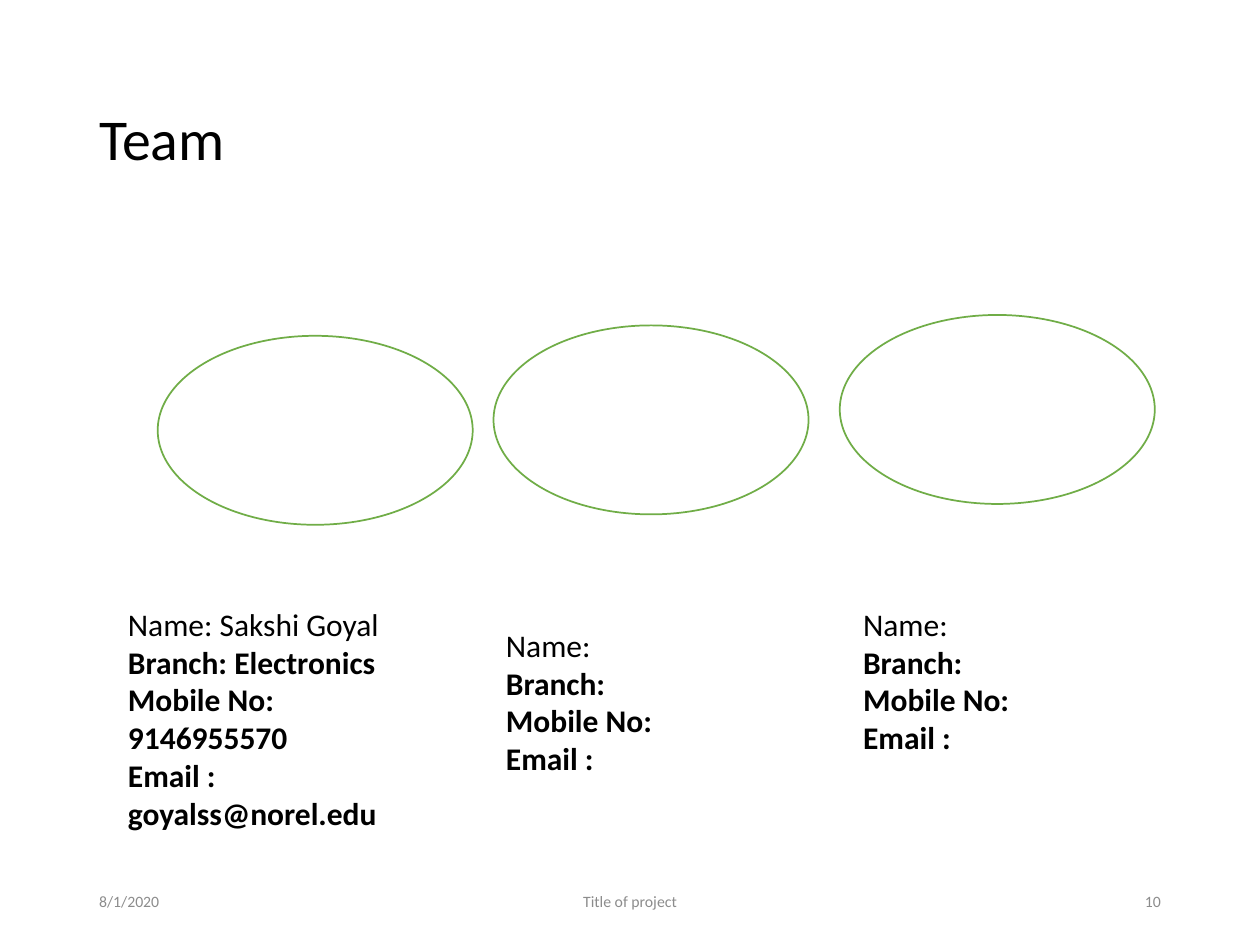
from dataclasses import dataclass

from pptx import Presentation
from pptx.dml.color import RGBColor as RGB
from pptx.enum.shapes import MSO_SHAPE as SHAPE
from pptx.enum.text import MSO_ANCHOR as ANCHOR, PP_ALIGN as ALIGN
from pptx.util import Cm, Pt


@dataclass(frozen=True)
class Theme:
    font: str = "Calibri"
    text: RGB = RGB(0x00, 0x00, 0x00)
    muted: RGB = RGB(0x8C, 0x8C, 0x8C)
    fill: RGB = RGB(0xFF, 0xFF, 0xFF)
    outline: RGB = RGB(0x70, 0xAD, 0x47)
    title_size: int = 33
    body_size: int = 18
    footer_size: int = 9


THEME = Theme()
MARGIN, CONTENT_W = 1.75, 21.9
FOOTER_TOP, FOOTER_H = 17.65, 1.02
OVAL_W, OVAL_H = 6.35, 3.81
CARD_W = 6.56

# Oval (left, top), details (left, top, height), lines of text
MEMBERS = [
    ((3.18, 6.77), (2.33, 12.07, 4.88),
     ["Name: Sakshi Goyal", "Branch: Electronics",
      "Mobile No: 9146955570", "Email : goyalss@norel.edu"]),
    ((9.95, 6.56), (9.95, 12.49, 3.33),
     ["Name:", "Branch:", "Mobile No:", "Email :"]),
    ((16.93, 6.35), (17.15, 12.07, 3.33),
     ["Name:", "Branch:", "Mobile No:", "Email :"]),
]


def add_text(slide, lines, left, top, width, height, *, size, color=THEME.text,
             align=ALIGN.LEFT, anchor=ANCHOR.TOP, spacing=1.0, bold_from=None):
    """Add one paragraph per line; lines from index bold_from on are bold."""
    box = slide.shapes.add_textbox(Cm(left), Cm(top), Cm(width), Cm(height))
    tf = box.text_frame
    tf.word_wrap = True
    tf.vertical_anchor = anchor
    for i, line in enumerate(lines):
        p = tf.add_paragraph() if i else tf.paragraphs[0]
        p.alignment = align
        p.line_spacing = spacing
        r = p.add_run()
        r.text = line
        r.font.name = THEME.font
        r.font.size = Pt(size)
        r.font.color.rgb = color
        r.font.bold = bold_from is not None and i >= bold_from


def add_oval(slide, left, top):
    sp = slide.shapes.add_shape(SHAPE.OVAL, Cm(left), Cm(top),
                                Cm(OVAL_W), Cm(OVAL_H))
    sp.shadow.inherit = False
    sp.fill.solid()
    sp.fill.fore_color.rgb = THEME.fill
    sp.line.color.rgb = THEME.outline
    sp.line.width = Pt(1)


def add_footer(slide):
    side_w, center_w = 5.72, 8.58
    right = MARGIN + CONTENT_W
    center = MARGIN + CONTENT_W / 2
    for text, left, width, align in [
        ("8/1/2020", MARGIN, side_w, ALIGN.LEFT),
        ("Title of project", center - center_w / 2, center_w, ALIGN.CENTER),
        ("10", right - side_w, side_w, ALIGN.RIGHT),
    ]:
        add_text(slide, [text], left, FOOTER_TOP, width, FOOTER_H,
                 size=THEME.footer_size, color=THEME.muted,
                 align=align, anchor=ANCHOR.MIDDLE)


def main():
    prs = Presentation()
    prs.slide_width, prs.slide_height = Cm(25.4), Cm(19.05)
    slide = prs.slides.add_slide(prs.slide_layouts[6])

    # Title
    add_text(slide, ["Team"], MARGIN, 1.02, CONTENT_W, 3.68,
             size=THEME.title_size, anchor=ANCHOR.MIDDLE, spacing=0.9)

    # Team members
    for oval, (left, top, height), lines in MEMBERS:
        add_oval(slide, *oval)
        add_text(slide, lines, left, top, CARD_W, height,
                 size=THEME.body_size, bold_from=1)

    # Footer
    add_footer(slide)
    prs.save("out.pptx")


if __name__ == "__main__":
    main()
